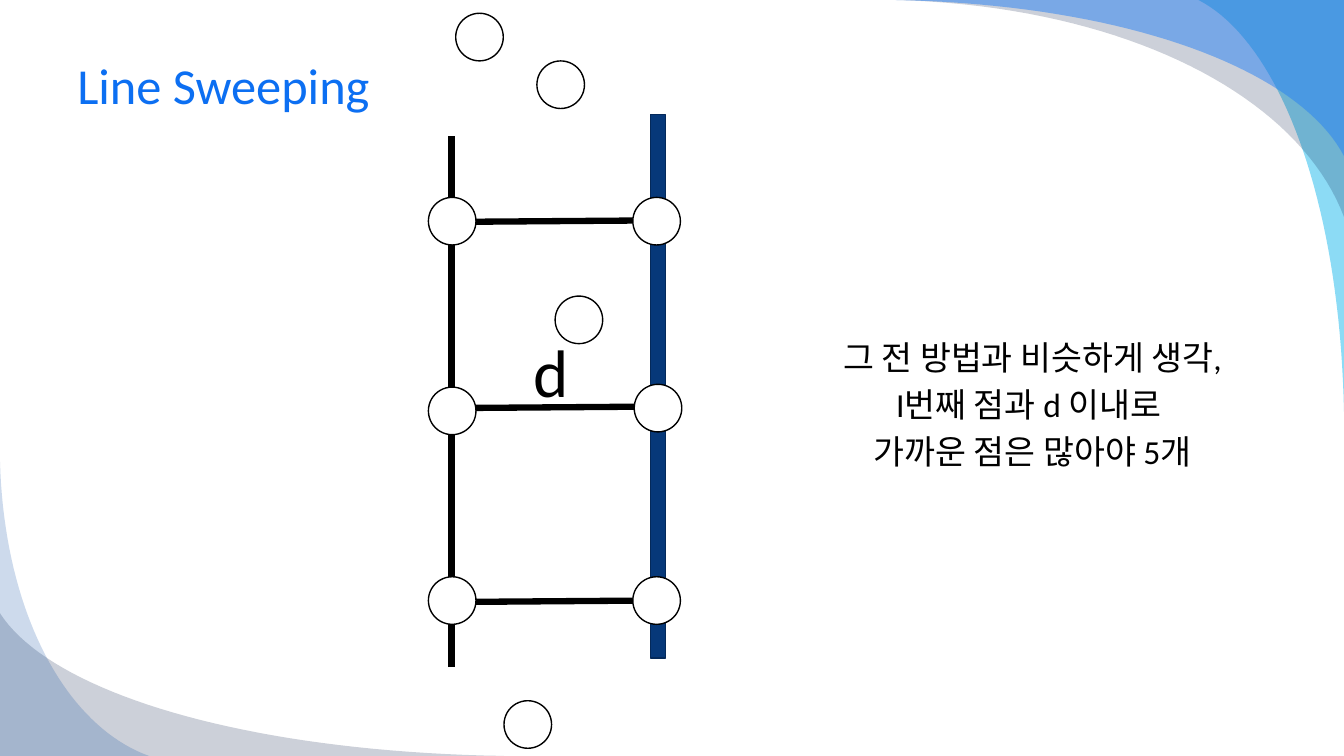
from dataclasses import dataclass

from lxml.etree import SubElement
from pptx import Presentation
from pptx.dml.color import RGBColor
from pptx.enum.shapes import MSO_CONNECTOR as Connector, MSO_SHAPE as Preset
from pptx.enum.text import MSO_ANCHOR as Anchor, MSO_AUTO_SIZE as AutoSize, PP_ALIGN as Align
from pptx.oxml.ns import qn
from pptx.util import Pt


@dataclass(frozen=True)
class Theme:
    font: str = "Calibri"
    title_size: float = 36
    body_size: float = 24
    label_size: float = 48
    title: str = "0C6FF2"
    ink: str = "000000"
    paper: str = "FFFFFF"
    sweep: str = "063879"
    sweep_edge: str = "04295A"
    cyan: str = "00B1E9"
    navy: str = "021741"
    sky: str = "247FF4"
    blue: str = "084AA1"


THEME = Theme()
WIDTH, HEIGHT = 960, 540
DIAMETER = 34
LEFT_POINTS = [(306, 141), (306, 276.5), (306, 412)]
RIGHT_POINTS = [(452, 141), (453, 274.5), (452, 412)]
OTHER_POINTS = [(396.5, 211.5), (360, 500.5), (383.5, 43.5), (325.5, 9.5)]
DISTANCE_LINES = [
    ((325, 430), (458.5, 429)),
    ((325, 158.5), (458, 157.5)),
    ((322.5, 291.5), (456, 290.5)),
]
BODY_LINES = ["그 전 방법과 비슷하게 생각,", "I번째 점과 d 이내로 ", "가까운 점은 많아야 5개"]
SWOOSHES = [
    ((WIDTH, 294), (WIDTH, 0), (856, 0), THEME.cyan, 45),
    ((640, 0), (WIDTH, 0), (WIDTH, 155), THEME.navy, 20),
    ((640, 0), (WIDTH, 0), (WIDTH, 111.5), THEME.sky, 49),
    ((360, HEIGHT), (0, HEIGHT), (0, 438), THEME.navy, 20),
    ((0, 330), (0, HEIGHT), (106.5, HEIGHT), THEME.blue, 20),
]
SWOOSH_CURVE = [(0, 0), (0.52, 0.03), (0.9, 0.45), (1, 1)]
SWOOSH_STEPS = 40


def bezier(values, t):
    start, first, second, end = values
    rest = 1 - t
    return rest**3 * start + 3 * rest**2 * t * first + 3 * rest * t**2 * second + t**3 * end


def paint(shape, fill, line=None):
    shape.shadow.inherit = False
    shape.fill.solid()
    shape.fill.fore_color.rgb = RGBColor.from_string(fill)
    if line:
        shape.line.color.rgb = RGBColor.from_string(line)
        shape.line.width = Pt(1)
    else:
        shape.line.fill.background()


def add_swoosh(page, tip, corner, end, color, opacity):
    points = []
    for step in range(SWOOSH_STEPS + 1):
        along, across = (bezier(axis, step / SWOOSH_STEPS) for axis in zip(*SWOOSH_CURVE))
        points.append(tuple(
            Pt(a + along * (b - a) + across * (c - b)) for a, b, c in zip(tip, corner, end)
        ))
    builder = page.shapes.build_freeform(*points[0])
    builder.add_line_segments(points[1:] + [tuple(Pt(value) for value in corner)])
    shape = builder.convert_to_shape()
    paint(shape, color)
    tint = next(shape.element.spPr.iter(qn("a:srgbClr")))
    SubElement(tint, qn("a:alpha"), val=str(opacity * 1000))


def add_line(page, start, end):
    line = page.shapes.add_connector(Connector.STRAIGHT, *map(Pt, start + end))
    line.line.color.rgb = RGBColor.from_string(THEME.ink)
    line.line.width = Pt(4.5)
    SubElement(line.element.spPr, qn("a:effectLst"))


def add_shape(page, preset, bounds, fill, line):
    paint(page.shapes.add_shape(preset, *map(Pt, bounds)), fill, line)


def place(box, left, top, width, height):
    box.left, box.top, box.width, box.height = map(Pt, (left, top, width, height))


def write(box, lines, size, color, align, anchor):
    frame = box.text_frame
    frame.word_wrap = True
    frame.auto_size = AutoSize.NONE
    frame.vertical_anchor = anchor
    frame.text = "\n".join(lines)
    for para in frame.paragraphs:
        para.alignment = align
        para.space_before = Pt(size * 0.2)
        for span in para.runs:
            span.font.name = THEME.font
            span.font.size = Pt(size)
            span.font.color.rgb = RGBColor.from_string(color)


def remove_bullets(box):
    for para in box.text_frame.paragraphs:
        properties = para._p.get_or_add_pPr()
        properties.set("marL", "0")
        properties.set("indent", "0")
        SubElement(properties, qn("a:buNone"))


def add_title(page):
    title = page.shapes.title
    place(title, 48, 24, 864, 72.5)
    write(title, ["Line Sweeping"], THEME.title_size, THEME.title, Align.LEFT, Anchor.MIDDLE)


def add_body(page):
    body = page.placeholders[1]
    place(body, 569, 67.5, 337, 450)
    write(body, BODY_LINES, THEME.body_size, THEME.ink, Align.CENTER, Anchor.MIDDLE)
    body.text_frame.margin_bottom = Pt(12)
    remove_bullets(body)


def add_distance_label(page):
    label = page.shapes.add_textbox(*map(Pt, (365.5, 232.5, 56, 67.5)))
    write(label, ["d"], THEME.label_size, THEME.ink, Align.CENTER, Anchor.TOP)


def main():
    deck = Presentation()
    deck.slide_width, deck.slide_height = Pt(WIDTH), Pt(HEIGHT)
    page = deck.slides.add_slide(deck.slide_layouts[1])
    for swoosh in SWOOSHES:
        add_swoosh(page, *swoosh)
    add_title(page)
    add_body(page)
    add_shape(page, Preset.RECTANGLE, (464.5, 82, 11, 388), THEME.sweep, THEME.sweep_edge)
    for start, end in DISTANCE_LINES:
        add_line(page, start, end)
    add_line(page, (322.5, 476.5), (322.5, 97))
    add_distance_label(page)
    for left, top in LEFT_POINTS + RIGHT_POINTS + OTHER_POINTS:
        add_shape(page, Preset.OVAL, (left, top, DIAMETER, DIAMETER), THEME.paper, THEME.ink)
    deck.save("out.pptx")


if __name__ == "__main__":
    main()
